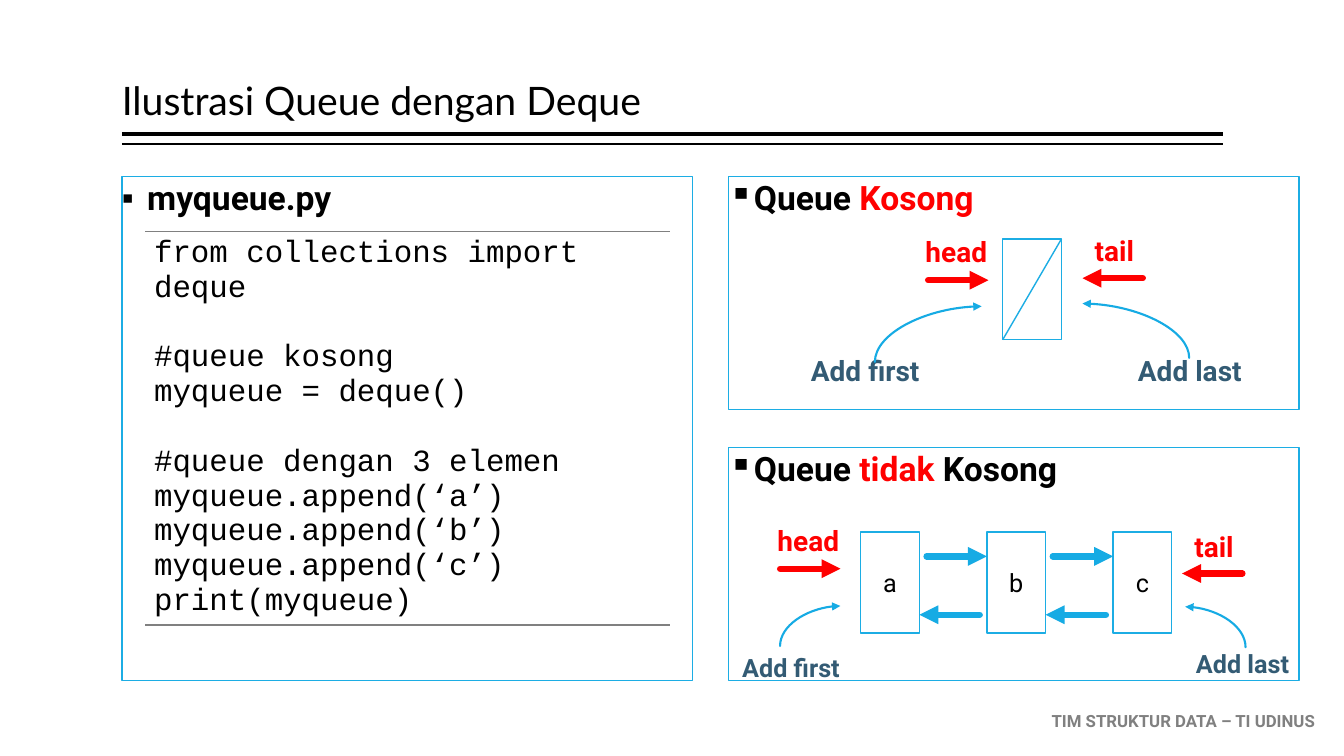
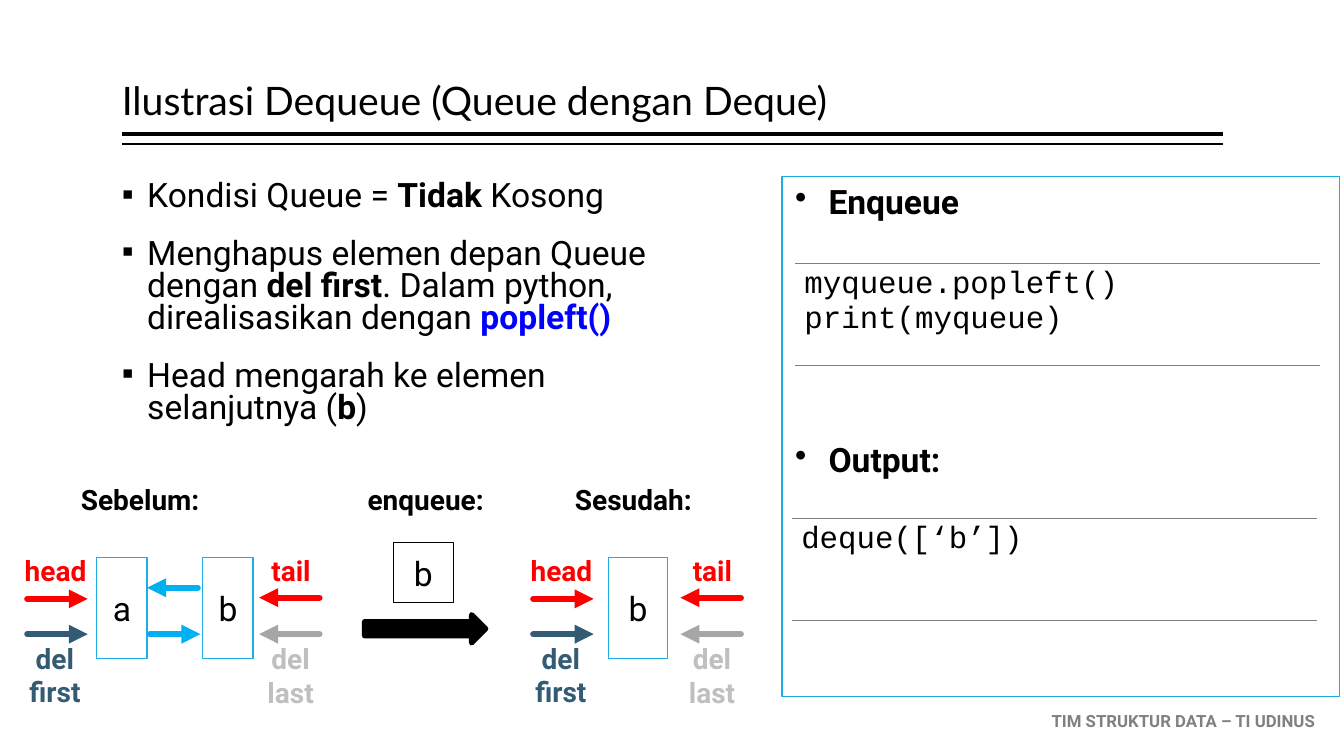
import dataclasses
import itertools

import lxml.etree
import pptx
import pptx.dml.color
import pptx.enum.shapes
import pptx.enum.text
import pptx.oxml.ns
import pptx.util
from pptx.util import Cm, Pt

qn = pptx.oxml.ns.qn
SHAPES = pptx.enum.shapes.MSO_SHAPE
CONNECTORS = pptx.enum.shapes.MSO_CONNECTOR
ANCHOR = pptx.enum.text.MSO_ANCHOR
ALIGN = pptx.enum.text.PP_ALIGN
AUTO_SIZE = pptx.enum.text.MSO_AUTO_SIZE


@dataclasses.dataclass(frozen=True)
class Theme:
    ink: str = "000000"
    paper: str = "FFFFFF"
    outline: str = "1CADE4"
    link: str = "16ABE4"
    swap: str = "00B0F0"
    pointer: str = "FF0000"
    action: str = "335B74"
    faded: str = "BFBFBF"
    faded_arrow: str = "A6A6A6"
    method: str = "0000FF"
    grey: str = "808080"
    title_font: str = "Lato"
    body_font: str = "Roboto"
    code_font: str = "Courier New"
    title: int = 28
    body: int = 24
    code: int = 22
    label: int = 20
    small: int = 18
    footer: int = 12
    thick: float = 4.5


theme = Theme()

FOOTER = "TIM STRUKTUR DATA – TI UDINUS"
BOLD = {"bold": True}
RED = {"color": theme.pointer}

QUEUE_TITLE = "Ilustrasi Queue dengan Deque"
FILE_HEADING = [["myqueue.py"]]
QUEUE_CODE = [
    ["from collections import deque"],
    ["#queue kosong", "myqueue = deque()"],
    ["#queue dengan 3 elemen", "myqueue.append(‘a’)", "myqueue.append(‘b’)",
     "myqueue.append(‘c’)", "print(myqueue)"],
]
EMPTY_HEADING = [["Queue ", ("Kosong", RED)]]
FILLED_HEADING = [["Queue ", ("tidak ", RED), "Kosong"]]
ELEMENTS = ["a", "b", "c"]

DEQUEUE_TITLE = "Ilustrasi Dequeue (Queue dengan Deque)"
DEQUEUE_POINTS = [
    ["Kondisi Queue = ", ("Tidak ", BOLD), "Kosong"],
    ["Menghapus elemen depan Queue dengan ", ("del first", BOLD),
     ". Dalam python, direalisasikan dengan ",
     ("popleft()", {"bold": True, "color": theme.method})],
    ["Head mengarah ke elemen selanjutnya (", ("b", BOLD), ")"],
]
RESULT_HEADINGS = [["Enqueue"], ["Output:"]]
DEQUEUE_CODE = [["myqueue.popleft()", "print(myqueue)"]]
OUTPUT_CODE = [["deque([‘b’])"]]
STAGES = [("Sebelum:", 1.68, 3.71), ("enqueue:", 8.89, 3.68), ("Sesudah:", 14.1, 3.73)]
SNAPSHOTS = [
    {"head": 0.69, "tail": 6.53, "width": 1.27, "cells": [("a", 2.44), ("b", 5.11)]},
    {"head": 13.44, "tail": 17.15, "width": 1.48, "cells": [("b", 15.34)]},
]

LEFT, RULE_WIDTH, TOP = 3.07, 27.74, 4.45
PANEL_WIDTH, PANEL_HEIGHT = 14.38, 12.7
RIGHT, HALF_HEIGHT = 18.36, 5.87
CODE_WIDTH = 13.26
ARROW = 1.52
CELL_WIDTH, CELL_HEIGHT = 1.48, 2.54


def box(*lengths):
    return [Cm(length) for length in lengths]


def rgb(color):
    return pptx.dml.color.RGBColor.from_string(color)


def set_font(font, name=None, size=None, color=None, bold=None):
    if name:
        font.name = name
    if size:
        font.size = Pt(size)
    if color:
        font.color.rgb = rgb(color)
    if bold is not None:
        font.bold = bold


def write(frame, paragraphs, size, color=theme.ink, bold=False, name=theme.body_font,
          bullet=None, indent=0.64, align=ALIGN.LEFT, leading=None, gaps=()):
    for index, (spans, gap) in enumerate(itertools.zip_longest(paragraphs, gaps, fillvalue=0)):
        paragraph = frame.paragraphs[0] if index == 0 else frame.add_paragraph()
        if bullet:
            properties = paragraph._p.get_or_add_pPr()
            properties.set("marL", str(Cm(indent)))
            properties.set("indent", str(-Cm(indent)))
            lxml.etree.SubElement(properties, qn("a:buChar")).set("char", bullet)
        paragraph.alignment = align
        paragraph.space_before = Pt(gap)
        if leading:
            paragraph.line_spacing = leading
        set_font(paragraph.font, name, size, color, bold)
        for span in spans:
            text, style = span if isinstance(span, tuple) else (span, {})
            run = paragraph.add_run()
            run.text = text
            set_font(run.font, **style)


def set_frame(frame, anchor=ANCHOR.TOP, side=0.0, edge=0.13):
    frame.word_wrap = True
    frame.auto_size = AUTO_SIZE.NONE
    frame.vertical_anchor = anchor
    frame.margin_left = frame.margin_right = Cm(side)
    frame.margin_top = frame.margin_bottom = Cm(edge)


def paint(shape, fill=theme.paper, outline=theme.outline, weight=1.0):
    shape.fill.solid()
    shape.fill.fore_color.rgb = rgb(fill)
    shape.line.color.rgb = rgb(outline)
    shape.line.width = Pt(weight)


def add_block(slide, place, kind=SHAPES.RECTANGLE, **colors):
    block = slide.shapes.add_shape(kind, *box(*place))
    block.shadow.inherit = False
    paint(block, **colors)
    return block


def add_cell(slide, text, place, size, outline=theme.outline):
    cell = add_block(slide, place, outline=outline)
    set_frame(cell.text_frame, ANCHOR.MIDDLE)
    write(cell.text_frame, [[text]], size, align=ALIGN.CENTER)


def add_label(slide, text, place, color=theme.ink, size=theme.label):
    frame = slide.shapes.add_textbox(*box(*place)).text_frame
    frame.word_wrap = False
    frame.auto_size = AUTO_SIZE.SHAPE_TO_FIT_TEXT
    write(frame, [[line] for line in text.split("\n")], size, color, True, align=ALIGN.CENTER)


def add_line(slide, start, end, color, weight, kind=CONNECTORS.STRAIGHT, arrow=None):
    line = slide.shapes.add_connector(kind, *box(*start, *end))
    line.line.color.rgb = rgb(color)
    line.line.width = Pt(weight)
    properties = line.element.spPr
    if arrow:
        stroke = properties.find(qn("a:ln"))
        stroke.set("cap", "rnd")
        lxml.etree.SubElement(stroke, qn("a:" + arrow)).set("type", "triangle")
    lxml.etree.SubElement(properties, qn("a:effectLst"))
    return line


def add_arrow(slide, start, end, y, color):
    add_line(slide, (start, y), (end, y), color, theme.thick, arrow="tailEnd")


def add_curve(slide, tip, origin):
    curve = add_line(slide, tip, origin, theme.link, 1.5, CONNECTORS.CURVE, "headEnd")
    curve.element.spPr.find(qn("a:prstGeom")).set("prst", "curvedConnector2")


def add_head(slide, x, y):
    add_label(slide, "head", (x - 0.38, y - 1.27, 2.18, 1.12), theme.pointer)
    add_arrow(slide, x, x + ARROW, y, theme.pointer)


def add_tail(slide, tip, y):
    add_label(slide, "tail", (tip + 0.03, y - 1.24, 1.55, 1.12), theme.pointer)
    add_arrow(slide, tip + ARROW, tip, y, theme.pointer)


def add_panel(slide, place, heading):
    panel = add_block(slide, place)
    set_frame(panel.text_frame)
    write(panel.text_frame, heading, theme.body, bold=True, bullet="▪", leading=0.9)


def add_code(slide, blocks, place):
    table = slide.shapes.add_table(1, 1, *box(*place)).table
    table.first_row = table.horz_banding = False
    cell = table.cell(0, 0)
    properties = cell._tc.get_or_add_tcPr()
    for side in ("a:lnT", "a:lnB"):
        border = lxml.etree.SubElement(properties, qn(side), w=str(Pt(1)))
        fill = lxml.etree.SubElement(border, qn("a:solidFill"))
        lxml.etree.SubElement(fill, qn("a:srgbClr"), val=theme.grey)
    cell.fill.background()
    lines = [[line] for block in blocks for line in block]
    gaps = [25 if number and not position else 0
            for number, block in enumerate(blocks) for position in range(len(block))]
    write(cell.text_frame, lines, theme.code, name=theme.code_font, gaps=gaps)


def move(placeholder, place):
    placeholder.left, placeholder.top, placeholder.width, placeholder.height = box(*place)


def add_slide(deck, title):
    slide = deck.slides.add_slide(deck.slide_layouts[1])
    move(slide.shapes.title, (LEFT, 0.2, RULE_WIDTH, 3.05))
    set_frame(slide.shapes.title.text_frame, ANCHOR.BOTTOM)
    write(slide.shapes.title.text_frame, [[title]], theme.title, name=theme.title_font, leading=0.9)
    return slide


def share_frame(slide):
    before = len(slide.shapes)
    for y, weight in ((3.38, 3), (3.63, 1)):
        add_line(slide, (LEFT, y), (LEFT + RULE_WIDTH, y), theme.ink, weight)
    add_label(slide, FOOTER, (26.04, 17.78, 7.57, 0.76), theme.grey, theme.footer)
    for part in list(slide.shapes)[before:]:
        slide.slide_layout.shapes.element.append(part.element)


def draw_empty_queue(slide):
    add_panel(slide, (RIGHT, TOP, PANEL_WIDTH, HALF_HEIGHT), EMPTY_HEADING)
    x, y = 25.27, 6.02
    add_block(slide, (x, y, CELL_WIDTH, CELL_HEIGHT))
    add_line(slide, (x + CELL_WIDTH, y), (x, y + CELL_HEIGHT), theme.outline, 1)
    add_head(slide, 23.39, 7.06)
    add_tail(slide, 27.28, 7.01)
    add_label(slide, "Add first", (20.09, 8.79, 3.43, 1.12), theme.action)
    add_label(slide, "Add last", (28.32, 8.79, 3.33, 1.12), theme.action)
    add_curve(slide, (24.74, 7.72), (22.05, 9.12))
    add_curve(slide, (27.28, 7.65), (29.97, 9.02))


def draw_filled_queue(slide):
    top = TOP + PANEL_HEIGHT - HALF_HEIGHT
    add_panel(slide, (RIGHT, top, PANEL_WIDTH, HALF_HEIGHT), FILLED_HEADING)
    first, pitch = 21.69, 3.18
    for index, element in enumerate(ELEMENTS):
        x = first + index * pitch
        add_cell(slide, element, (x, 13.41, CELL_WIDTH, CELL_HEIGHT), theme.small)
        if index:
            add_arrow(slide, x - ARROW, x, 14.02, theme.link)
            back = x - pitch + CELL_WIDTH
            add_arrow(slide, back + ARROW, back, 15.49, theme.link)
    add_head(slide, 19.66, 14.33)
    add_tail(slide, 29.79, 14.45)
    add_label(slide, "Add first", (RIGHT, 16.31, 3.15, 1.02), theme.action, theme.small)
    add_label(slide, "Add last", (29.79, 16.21, 3.05, 1.02), theme.action, theme.small)
    add_curve(slide, (21.18, 15.27), (19.66, 16.28))
    add_curve(slide, (29.87, 15.29), (31.39, 16.31))


def draw_snapshot(slide, head, tail, width, cells):
    for element, x in cells:
        add_cell(slide, element, (x, 14.05, width, CELL_HEIGHT), theme.body)
    for (_, left), (_, right) in itertools.pairwise(cells):
        add_arrow(slide, right - 0.13, left + width, 14.81, theme.swap)
        add_arrow(slide, left + width + 0.07, right - 0.06, 15.98, theme.swap)
    add_head(slide, head, 15.09)
    add_tail(slide, tail, 15.06)
    add_arrow(slide, head, head + ARROW, 15.98, theme.action)
    add_arrow(slide, tail + ARROW, tail, 15.98, theme.faded_arrow)
    add_label(slide, "del\nfirst", (head - 0.23, 16.03, 1.85, 1.96), theme.action)
    add_label(slide, "del\nlast", (tail - 0.07, 16.04, 1.73, 1.96), theme.faded)


def build_queue(deck):
    slide = add_slide(deck, QUEUE_TITLE)
    share_frame(slide)
    heading = slide.placeholders[1]
    move(heading, (LEFT, TOP, PANEL_WIDTH, PANEL_HEIGHT))
    paint(heading)
    set_frame(heading.text_frame)
    write(heading.text_frame, FILE_HEADING, theme.body, bold=True, bullet="▪", leading=0.9)
    add_code(slide, QUEUE_CODE, (3.63, 5.84, CODE_WIDTH, 9.91))
    draw_empty_queue(slide)
    draw_filled_queue(slide)


def build_dequeue(deck):
    slide = add_slide(deck, DEQUEUE_TITLE)
    points = slide.placeholders[1]
    move(points, (LEFT, TOP, 14.15, 6.93))
    set_frame(points.text_frame)
    write(points.text_frame, DEQUEUE_POINTS, theme.body, bullet="▪", leading=0.8, gaps=(0, 18, 18))
    results = add_block(slide, (19.71, TOP, 14.05, 13.11))
    set_frame(results.text_frame, side=0.33, edge=0.18)
    write(results.text_frame, RESULT_HEADINGS, theme.body, bold=True, bullet="•",
          indent=0.84, leading=0.95, gaps=(0, 157))
    add_code(slide, DEQUEUE_CODE, (20.02, 6.63, CODE_WIDTH, 2.57))
    add_code(slide, OUTPUT_CODE, (19.94, 13.06, CODE_WIDTH, 2.57))
    for stage, x, width in STAGES:
        add_label(slide, stage, (x, 12.04, width, 1.12))
    add_cell(slide, "b", (9.91, 13.67, 1.52, 1.52), theme.body, theme.ink)
    add_block(slide, (9.19, 15.49, 3.05, 0.71), SHAPES.RIGHT_ARROW,
              fill=theme.ink, outline=theme.ink, weight=3.78)
    for snapshot in SNAPSHOTS:
        draw_snapshot(slide, **snapshot)


def main():
    deck = pptx.Presentation()
    deck.slide_width, deck.slide_height = box(33.87, 19.05)
    build_queue(deck)
    build_dequeue(deck)
    deck.save("out.pptx")


if __name__ == "__main__":
    main()
